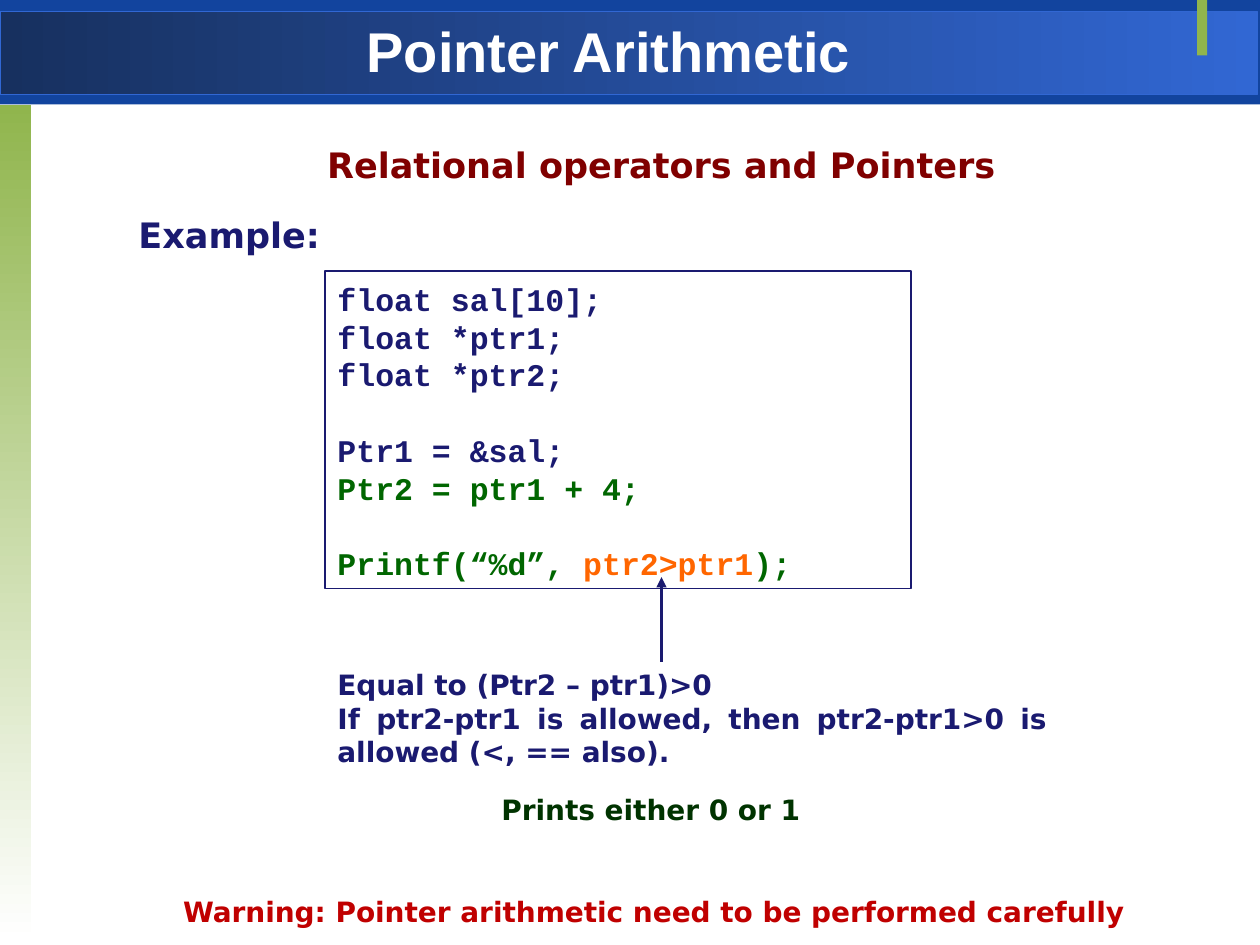
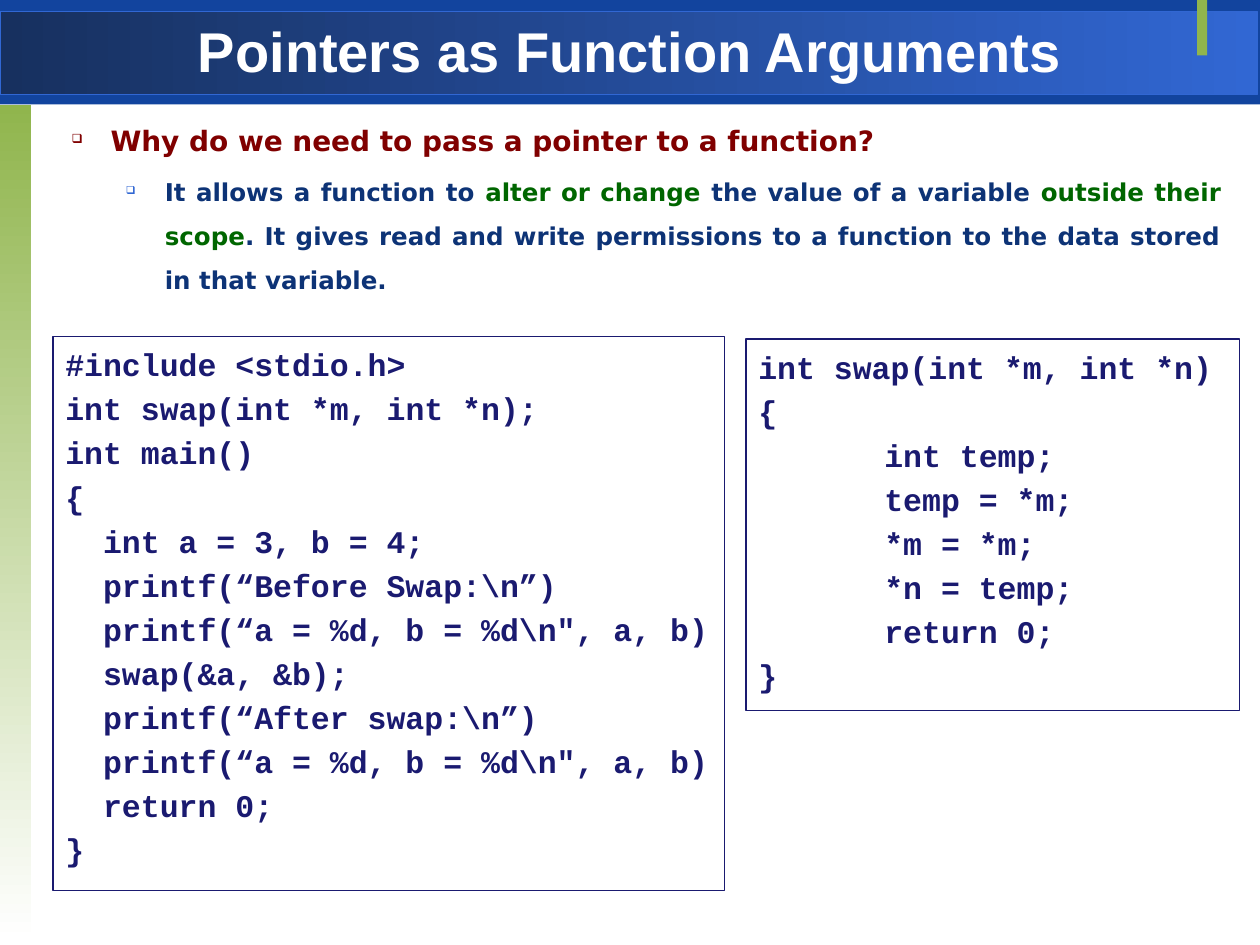
from dataclasses import dataclass
from typing import Any, Optional

from pptx import Presentation
from pptx.dml.color import RGBColor
from pptx.enum.shapes import MSO_CONNECTOR, MSO_SHAPE
from pptx.enum.text import MSO_ANCHOR, MSO_AUTO_SIZE, PP_ALIGN
from pptx.oxml import parse_xml
from pptx.oxml.ns import nsdecls
from pptx.util import Inches, Pt

NAVY = "1A1A70"
GREEN = "006600"
ORANGE = "FF6600"
MAROON = "800000"
BLUE = "3167D3"
DARK_BLUE = "0D3376"
LEAF = "90B54D"
WHITE = "FFFFFF"

TITLE_FONT = "Arial"
TEXT_FONT = "DejaVu Sans"
CODE_FONT = "Courier New"

CODE_SIZE = 18
CODE_PITCH = 21.6  # points from one code line to the next
CODE_GAP = 3.6  # extra points between lines in the roomy listings


@dataclass
class Box:
    left: float
    top: float
    width: float
    height: float

    def lengths(self) -> list[int]:
        return [Inches(value) for value in (self.left, self.top, self.width, self.height)]


@dataclass
class Band:
    box: Box
    fill: tuple[str, ...]
    angle: int = 0
    line: Optional[str] = None


@dataclass
class Line:
    """One paragraph: pairs of text and colour, then its format."""
    runs: list[tuple[str, str]]
    size: int = 16
    font: str = TEXT_FONT
    align: PP_ALIGN = PP_ALIGN.LEFT
    spacing: Any = 1.0
    before: float = 0
    margin: float = 0
    indent: float = 0
    bullet: bool = False
    bullet_color: Optional[str] = None


BANDS = [
    Band(Box(0, 0, 10, 0.83), ("12449E",)),
    Band(Box(0, 0.09, 9.98, 0.66), ("17305F", BLUE), line=BLUE),
    Band(Box(0, 0.83, 0.25, 6.64), (LEAF, WHITE), angle=270),
    Band(Box(9.5, 0, 0.08, 0.44), (LEAF,)),
]


def rgb(color: str) -> RGBColor:
    return RGBColor.from_string(color)


def apply_format(target: Any, values: dict[str, Any]) -> None:
    for name, value in values.items():
        setattr(target, name, value)


def add_rectangle(slide: Any, box: Box, line: Optional[str]) -> Any:
    shape = slide.shapes.add_shape(MSO_SHAPE.RECTANGLE, *box.lengths())
    shape.shadow.inherit = False
    if line:
        shape.line.color.rgb = rgb(line)
        shape.line.width = Pt(0.75)
    else:
        shape.line.fill.background()
    return shape


def add_band(slide: Any, band: Band) -> Any:
    shape = add_rectangle(slide, band.box, band.line)
    if len(band.fill) == 1:
        shape.fill.solid()
        shape.fill.fore_color.rgb = rgb(band.fill[0])
    else:
        shape.fill.gradient()
        shape.fill.gradient_angle = band.angle
        for stop, color in zip(shape.fill.gradient_stops, band.fill):
            stop.color.rgb = rgb(color)
    return shape


def move_to_layout(shape: Any, layout: Any, position: int) -> None:
    layout.shapes._spTree.insert(position, shape._element)


def add_bullet(paragraph: Any, color: Optional[str]) -> None:
    properties = paragraph._p.get_or_add_pPr()
    if color:
        properties.append(parse_xml(
            f'<a:buClr {nsdecls("a")}><a:srgbClr val="{color}"/></a:buClr>'))
    properties.append(parse_xml(f'<a:buSzPct {nsdecls("a")} val="45000"/>'))
    properties.append(parse_xml(f'<a:buChar {nsdecls("a")} char="❑"/>'))


def write_lines(shape: Any, lines: list[Line], frame_format: Optional[dict[str, Any]] = None) -> None:
    frame = shape.text_frame
    apply_format(frame, {
        "word_wrap": True,
        "auto_size": MSO_AUTO_SIZE.NONE,
        "vertical_anchor": MSO_ANCHOR.TOP,
        **(frame_format or {}),
    })
    for number, line in enumerate(lines):
        paragraph = frame.paragraphs[0] if number == 0 else frame.add_paragraph()
        apply_format(paragraph, {
            "alignment": line.align,
            "line_spacing": line.spacing,
            "space_before": Pt(line.before),
        })
        if line.margin:
            properties = paragraph._p.get_or_add_pPr()
            properties.set("marL", str(Inches(line.margin)))
            properties.set("indent", str(Inches(line.indent)))
        if line.bullet:
            add_bullet(paragraph, line.bullet_color)
        for text, color in line.runs:
            run = paragraph.add_run()
            run.text = text
            apply_format(run.font, {"name": line.font, "size": Pt(line.size), "bold": True})
            run.font.color.rgb = rgb(color)


def add_text(slide: Any, box: Box, lines: list[Line],
             frame_format: Optional[dict[str, Any]] = None) -> None:
    write_lines(slide.shapes.add_textbox(*box.lengths()), lines, frame_format)


def add_code(slide: Any, box: Box, lines: list[Line]) -> None:
    shape = add_rectangle(slide, box, NAVY)
    shape.fill.background()
    write_lines(shape, lines, {"margin_top": Inches(0.07)})


def code(*runs: tuple[str, str], before: float = 0, margin: float = 0) -> Line:
    return Line(list(runs), CODE_SIZE, CODE_FONT, spacing=Pt(CODE_PITCH),
                before=before, margin=margin)


def roomy_code(texts: list[str], margin: float) -> list[Line]:
    """Lines of a function; those between the braces are indented."""
    start, end = texts.index("{"), texts.index("}")
    return [code((text, NAVY), before=CODE_GAP if number else 0,
                 margin=margin if start < number < end else 0)
            for number, text in enumerate(texts)]


def add_up_arrow(slide: Any, x: float, start: float, end: float) -> None:
    arrow = slide.shapes.add_connector(
        MSO_CONNECTOR.STRAIGHT, Inches(x), Inches(start), Inches(x), Inches(end))
    arrow.line.color.rgb = rgb(NAVY)
    arrow.line.width = Pt(1.25)
    arrow.line._get_or_add_ln().append(
        parse_xml(f'<a:tailEnd {nsdecls("a")} type="triangle"/>'))
    arrow._element.spPr.append(parse_xml(f'<a:effectLst {nsdecls("a")}/>'))


def add_titled_slide(presentation: Any, layout: Any, title: str, box: Box,
                     margin_top: float) -> Any:
    slide = presentation.slides.add_slide(layout)
    shape = slide.shapes.title
    apply_format(shape, dict(zip(("left", "top", "width", "height"), box.lengths())))
    write_lines(shape, [Line([(title, WHITE)], 32, TITLE_FONT, PP_ALIGN.CENTER)], {
        "vertical_anchor": MSO_ANCHOR.MIDDLE,
        "margin_top": Inches(margin_top),
        "margin_bottom": 0,
    })
    return slide


def build_arithmetic_slide(presentation: Any, layout: Any) -> Any:
    slide = add_titled_slide(presentation, layout, "Pointer Arithmetic",
                             Box(1.08, 0.05, 7.5, 0.58), 0.12)
    heading = {"size": 20, "spacing": 1.5, "before": 4, "margin": 0.81, "indent": -0.31}
    add_text(slide, Box(0.5, 0.92, 9, 1.33), [
        Line([("Relational operators and Pointers", MAROON)], align=PP_ALIGN.CENTER, **heading),
        Line([("Example:", NAVY)], **heading),
    ])

    # Code listing, with a line's gap between its groups
    add_code(slide, Box(2.58, 2.15, 4.65, 2.52), [
        code(("float sal[10];", NAVY)),
        code(("float *ptr1;", NAVY)),
        code(("float *ptr2;", NAVY)),
        code(("Ptr1 = &sal;", NAVY), before=CODE_PITCH),
        code(("Ptr2 = ptr1 + 4;", GREEN)),
        code(("Printf(“%d”, ", GREEN), ("ptr2>ptr1", ORANGE), (");", GREEN), before=CODE_PITCH),
    ])
    add_up_arrow(slide, 5.25, 5.25, 4.58)

    # Explanation, result and warning
    add_text(slide, Box(2.58, 5.25, 5.83, 0.91), [
        Line([(text, NAVY)], align=PP_ALIGN.JUSTIFY) for text in (
            "Equal to (Ptr2 – ptr1)>0",
            "If ptr2-ptr1 is allowed, then ptr2-ptr1>0 is allowed (<, == also).",
        )
    ])
    add_text(slide, Box(1.33, 7.05, 7.72, 0.37), [
        Line([("Warning: Pointer arithmetic need to be performed carefully", "C00000")],
             align=PP_ALIGN.CENTER),
    ], {"word_wrap": False})
    add_text(slide, Box(0.42, 6.24, 9.49, 0.37), [
        Line([("Prints either 0 or 1", "003300")], align=PP_ALIGN.CENTER),
    ])
    return slide


def build_arguments_slide(presentation: Any, layout: Any) -> Any:
    slide = add_titled_slide(presentation, layout, "Pointers as Function Arguments",
                             Box(0.5, 0.07, 9, 0.62), 0.04)
    # Question and answer
    point = {"align": PP_ALIGN.JUSTIFY, "spacing": 1.5, "indent": -0.31, "bullet": True}
    add_text(slide, Box(0.36, 0.83, 9.43, 1.75), [
        Line([("Why do we need to pass a pointer to a function?", MAROON)],
             before=3.2, margin=0.42, **point),
        Line([
            ("It allows a function to ", DARK_BLUE),
            ("alter or change ", GREEN),
            ("the value of a variable ", DARK_BLUE),
            ("outside their scope", GREEN),
            (". It gives read and write permissions to a function"
             " to the data stored in that variable.", DARK_BLUE),
        ], size=14, before=2.8, margin=0.85, bullet_color=BLUE, **point),
    ], {"margin_top": Inches(0.02)})

    # Main program and swap function
    print_values = 'printf(“a = %d, b = %d\\n", a, b)'
    add_code(slide, Box(0.42, 2.67, 5.33, 4.4), roomy_code([
        "#include <stdio.h>",
        "int swap(int *m, int *n);",
        "int main()",
        "{",
        "int a = 3, b = 4;",
        "printf(“Before Swap:\\n”)",
        print_values,
        "swap(&a, &b);",
        "printf(“After swap:\\n”)",
        print_values,
        "return 0;",
        "}",
    ], 0.3))
    add_code(slide, Box(5.92, 2.69, 3.92, 2.95), roomy_code([
        "int swap(int *m, int *n)",
        "{",
        "int temp;",
        "temp = *m;",
        "*m = *m;",
        "*n = temp;",
        "return 0;",
        "}",
    ], 1))
    return slide


def main() -> None:
    presentation = Presentation()
    apply_format(presentation, {"slide_width": Inches(10), "slide_height": Inches(7.5)})
    layout = presentation.slide_layouts.get_by_name("Title Only")
    slide = build_arithmetic_slide(presentation, layout)
    build_arguments_slide(presentation, layout)

    # Shared bands belong to the layout, behind its placeholders
    for position, band in enumerate(BANDS, start=2):
        move_to_layout(add_band(slide, band), layout, position)
    presentation.save("out.pptx")


if __name__ == "__main__":
    main()
